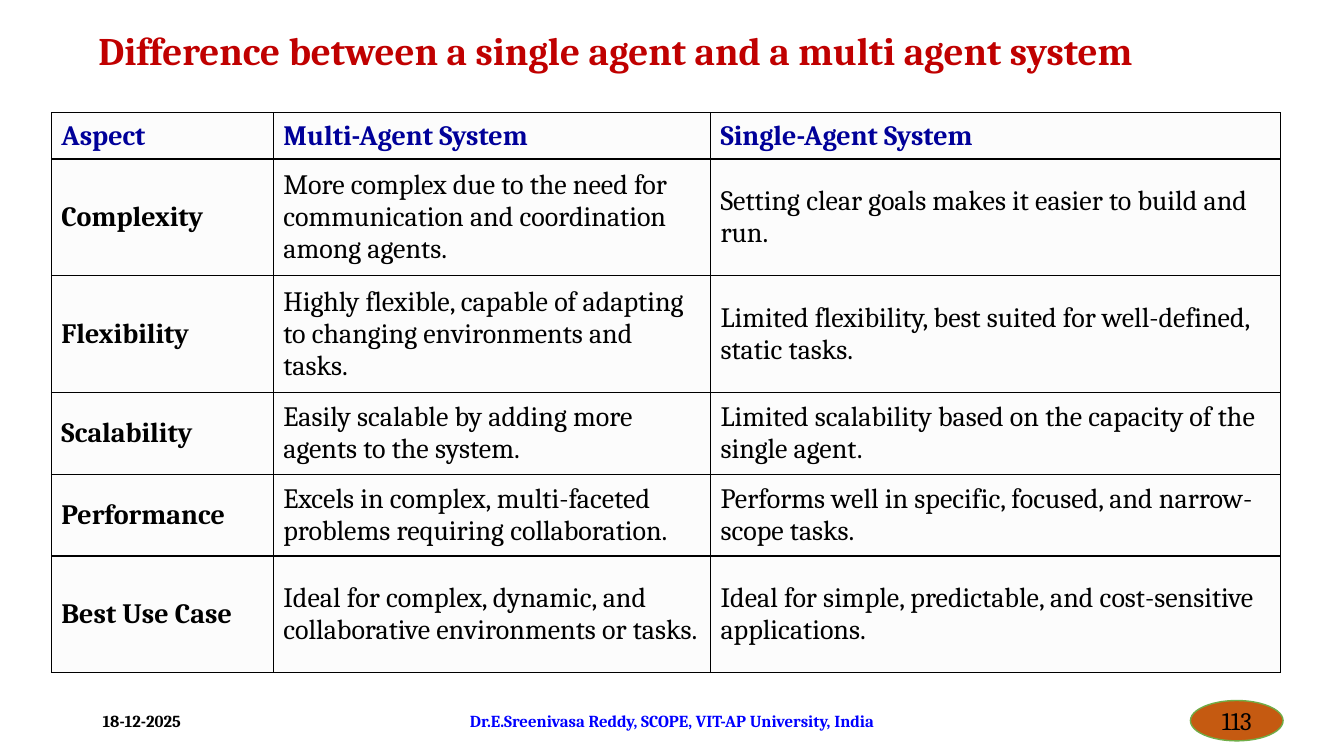
from pptx import Presentation
from pptx.dml.color import RGBColor
from pptx.enum import shapes, text
from pptx.oxml import parse_xml
from pptx.oxml.ns import nsdecls
from pptx.util import Pt

COLORS = {
    "title": "C00000", "header": "000099", "body": "000000", "footer": "0000FF",
    "cell": "FCFCFC", "badge": "C55A11", "badge_line": "70AD47",
}
COLUMN_WIDTHS = [158.5, 312.3, 407.2]
ROW_HEIGHTS = [33, 83.5, 83.5, 58.3, 58.3, 83.5]
ROWS = [
    ("Aspect", "Multi-Agent System", "Single-Agent System"),
    ("Complexity",
     "More complex due to the need for communication and coordination among agents.",
     "Setting clear goals makes it easier to build and run."),
    ("Flexibility",
     "Highly flexible, capable of adapting to changing environments and tasks.",
     "Limited flexibility, best suited for well-defined, static tasks."),
    ("Scalability",
     "Easily scalable by adding more agents to the system.",
     "Limited scalability based on the capacity of the single agent."),
    ("Performance",
     "Excels in complex, multi-faceted problems requiring collaboration.",
     "Performs well in specific, focused, and narrow-scope tasks."),
    ("Best Use Case",
     "Ideal for complex, dynamic, and collaborative environments or tasks.",
     "Ideal for simple, predictable, and cost-sensitive applications."),
]


def write(frame, words, size, color="body", bold=False, align="LEFT"):
    """Fill a text frame with one formatted, vertically centred paragraph."""
    frame.word_wrap = True
    frame.vertical_anchor = text.MSO_ANCHOR.MIDDLE
    para = frame.paragraphs[0]
    para.alignment = text.PP_ALIGN[align]
    span = para.add_run()
    span.text = words
    span.font.name = "Cambria"
    span.font.size = Pt(size)
    span.font.bold = bold
    span.font.color.rgb = RGBColor.from_string(COLORS[color])
    return para


deck = Presentation()
deck.slide_width, deck.slide_height = Pt(960), Pt(540)
page = deck.slides.add_slide(deck.slide_layouts[6])

# Title
title = page.shapes.add_textbox(Pt(22.3), Pt(10.8), Pt(828), Pt(53.3))
title.text_frame.margin_left = Pt(14)
heading = write(title.text_frame,
                "Difference between a single agent and a multi agent system",
                27.9, color="title", bold=True, align="CENTER")
heading.line_spacing = 0.9

# Comparison table
table = page.shapes.add_table(len(ROWS), len(COLUMN_WIDTHS), Pt(36.7), Pt(80.6),
                              Pt(sum(COLUMN_WIDTHS)), Pt(sum(ROW_HEIGHTS))).table
table.first_row = table.horz_banding = False
for column, width in zip(table.columns, COLUMN_WIDTHS):
    column.width = Pt(width)
for row, height in zip(table.rows, ROW_HEIGHTS):
    row.height = Pt(height)

for r, row_words in enumerate(ROWS):
    for c, words in enumerate(row_words):
        cell = table.cell(r, c)
        write(cell.text_frame, words, 20,
              color="header" if r == 0 else "body", bold=r == 0 or c == 0)
        cell.vertical_anchor = text.MSO_ANCHOR.MIDDLE
        properties = cell._tc.get_or_add_tcPr()
        for side in ("lnL", "lnR", "lnT", "lnB"):
            properties.append(parse_xml(
                f'<a:{side} {nsdecls("a")} w="{Pt(1)}"><a:solidFill>'
                f'<a:srgbClr val="{COLORS["body"]}"/></a:solidFill></a:{side}>'))
        cell.fill.solid()
        cell.fill.fore_color.rgb = RGBColor.from_string(COLORS["cell"])

# Footer
date = page.shapes.add_textbox(Pt(66.2), Pt(500.4), Pt(216), Pt(28.8))
write(date.text_frame, "18-12-2025", 12, bold=True)

author = page.shapes.add_textbox(Pt(318.2), Pt(500.4), Pt(324), Pt(28.8))
write(author.text_frame, "Dr.E.Sreenivasa Reddy, SCOPE, VIT-AP University, India",
      12, color="footer", bold=True, align="CENTER")

badge = page.shapes.add_shape(shapes.MSO_SHAPE.OVAL,
                              Pt(850.3), Pt(500.4), Pt(66.2), Pt(28.8))
badge.shadow.inherit = False
badge.fill.solid()
badge.fill.fore_color.rgb = RGBColor.from_string(COLORS["badge"])
badge.line.color.rgb = RGBColor.from_string(COLORS["badge_line"])
badge.line.width = Pt(1)
write(badge.text_frame, "113", 18, align="CENTER")

deck.save("out.pptx")
